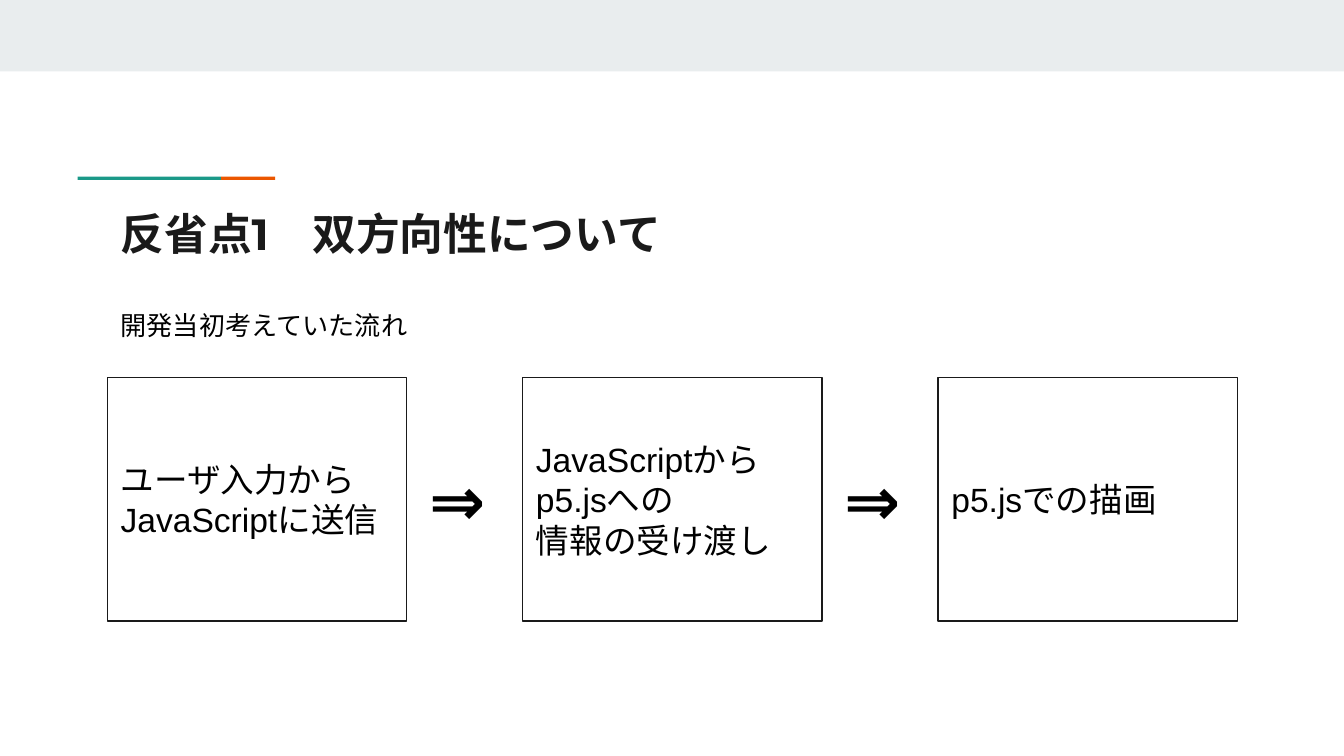
from dataclasses import dataclass

from pptx import Presentation
from pptx.dml.color import RGBColor
from pptx.enum.shapes import MSO_SHAPE
from pptx.enum.text import MSO_ANCHOR, PP_ALIGN
from pptx.util import Cm, Pt

RECT = MSO_SHAPE.RECTANGLE
TOP, MIDDLE = MSO_ANCHOR.TOP, MSO_ANCHOR.MIDDLE
LEFT = PP_ALIGN.LEFT


@dataclass(frozen=True)
class Theme:
    """Colours, fonts and type sizes of the slide."""
    band: str = "E9EDEE"
    teal: str = "1A9988"
    orange: str = "EB5600"
    dark: str = "1A1A1A"
    black: str = "000000"
    white: str = "FFFFFF"
    title_font: str = "Montserrat"
    text_font: str = "Lato"
    box_font: str = "Arial"
    title_size: float = 23.4
    lead_size: float = 14
    box_size: float = 18
    arrow_size: float = 36


theme = Theme()


def add_rect(left, top, width, height, fill, line=None):
    """Add a plain rectangle, lengths in centimetres."""
    sp = slide.shapes.add_shape(RECT, Cm(left), Cm(top), Cm(width), Cm(height))
    sp.shadow.inherit = False
    sp.fill.solid()
    sp.fill.fore_color.rgb = RGBColor.from_string(fill)
    if line:
        sp.line.color.rgb = RGBColor.from_string(line)
        sp.line.width = Pt(0.75)
    else:
        sp.line.fill.background()
    return sp


def write(sp, text, font, size, color=theme.black, bold=False, anchor=TOP):
    """Fill a shape with left-aligned text, one paragraph per line."""
    tf = sp.text_frame
    tf.word_wrap = True
    tf.vertical_anchor = anchor
    tf.margin_left = tf.margin_right = tf.margin_top = tf.margin_bottom = Cm(0.25)
    for i, line in enumerate(text.split("\n")):
        p = tf.add_paragraph() if i else tf.paragraphs[0]
        p.alignment = LEFT
        r = p.add_run()
        r.text = line
        r.font.name = font
        r.font.size = Pt(size)
        r.font.bold = bold
        r.font.color.rgb = RGBColor.from_string(color)


prs = Presentation()
prs.slide_width, prs.slide_height = Cm(25.4), Cm(14.29)
slide = prs.slides.add_slide(prs.slide_layouts[5])

# Header band and two-colour accent line
add_rect(0, 0, 25.4, 1.35, theme.band)
add_rect(1.47, 3.34, 2.71, 0.06, theme.teal)
add_rect(4.18, 3.34, 1.02, 0.06, theme.orange)

# Title and lead-in
margin = 2.03
title = slide.shapes.title
title.left, title.top, title.width, title.height = Cm(margin), Cm(3.66), Cm(21.36), Cm(1.5)
write(title, "反省点1　双方向性について", theme.title_font, theme.title_size,
      color=theme.dark, bold=True)

lead = slide.shapes.add_textbox(Cm(margin), Cm(5.59), Cm(6.93), Cm(1.12))
write(lead, "開発当初考えていた流れ", theme.text_font, theme.lead_size)

# Flow of three steps with an arrow in each gap
steps = [
    "ユーザ入力から\nJavaScriptに送信",
    "JavaScriptから\np5.jsへの\n情報の受け渡し",
    "p5.jsでの描画",
]
box_top, box_width, box_height, pitch = 7.14, 5.66, 4.6, 7.85
arrow_width, arrow_height = 1.85, 2.06
arrow_offset = box_width + (pitch - box_width - arrow_width) / 2
arrow_top = box_top + (box_height - arrow_height) / 2

for i, step in enumerate(steps):
    left = margin + i * pitch
    box = add_rect(left, box_top, box_width, box_height, theme.white, line=theme.dark)
    write(box, step, theme.box_font, theme.box_size, anchor=MIDDLE)
    if i < len(steps) - 1:
        arrow = slide.shapes.add_textbox(Cm(left + arrow_offset), Cm(arrow_top),
                                         Cm(arrow_width), Cm(arrow_height))
        write(arrow, "⇒", theme.text_font, theme.arrow_size, bold=True)

prs.save("out.pptx")
